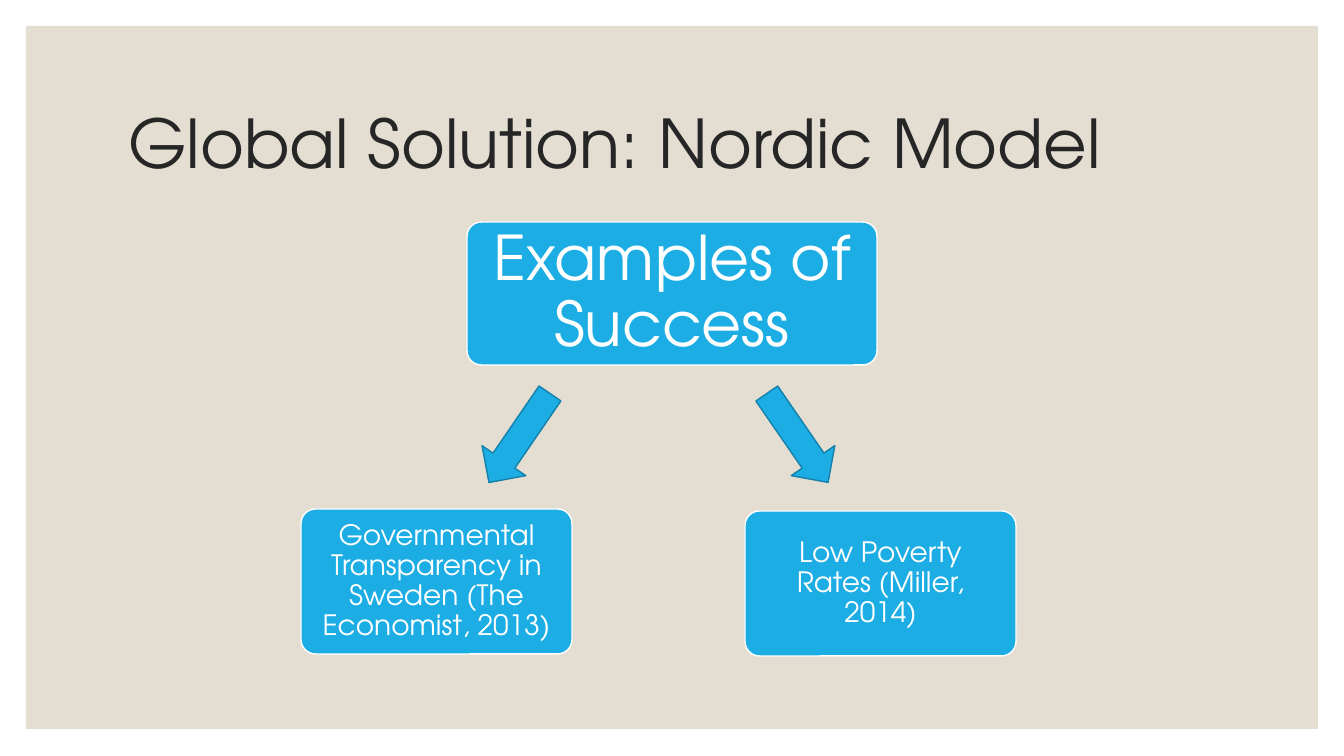
from pptx import Presentation
from pptx.dml.color import RGBColor
from pptx.enum.shapes import MSO_SHAPE
from pptx.enum.text import MSO_ANCHOR, PP_ALIGN
from pptx.util import Pt

RECT, ROUND, ARROW = MSO_SHAPE.RECTANGLE, MSO_SHAPE.ROUNDED_RECTANGLE, MSO_SHAPE.DOWN_ARROW
MIDDLE = MSO_ANCHOR.MIDDLE
LEFT, CENTER = PP_ALIGN.LEFT, PP_ALIGN.CENTER
SCALE = 914400 / 100.8
FONT = "TeX Gyre Adventor"
COLORS = {"panel": "E3DED1", "ink": "262626", "blue": "1CADE4", "edge": "1580A9", "white": "FFFFFF"}


def add_block(kind, box, fill, line=None):
    block = slide.shapes.add_shape(kind, *[round(n * SCALE) for n in box])
    block.shadow.inherit = False
    block.fill.solid()
    block.fill.fore_color.rgb = RGBColor.from_string(COLORS[fill])
    if line:
        block.line.color.rgb = RGBColor.from_string(COLORS[line])
        block.line.width = Pt(1)
    else:
        block.line.fill.background()
    return block


def set_text(shape, text, size, color, align):
    frame = shape.text_frame
    frame.word_wrap = True
    frame.vertical_anchor = MIDDLE
    para = frame.paragraphs[0]
    para.text = text
    para.alignment = align
    para.line_spacing = 0.9
    para.font.size = Pt(size)
    para.font.name = FONT
    para.font.color.rgb = RGBColor.from_string(COLORS[color])
    return frame


deck = Presentation()
deck.slide_width, deck.slide_height = round(1344 * SCALE), round(756 * SCALE)
slide = deck.slides.add_slide(deck.slide_layouts[5])

# Panel behind the title
panel = add_block(RECT, (26, 26, 1292, 703), "panel")
title = slide.shapes.title
title.element.addprevious(panel.element)
title.left, title.top, title.width, title.height = [round(n * SCALE) for n in (118, 71, 1109, 151)]
set_text(title, "Global Solution: Nordic Model", 48, "ink", LEFT)

# Main idea and its two examples
cards = [
    ("Examples of Success", 44, (467, 222, 410, 143)),
    ("Governmental Transparency in Sweden (The Economist, 2013)", 20, (301, 509, 271, 145)),
    ("Low Poverty Rates (Miller, 2014)", 20, (745, 511, 271, 145)),
]
for text, size, box in cards:
    card = add_block(ROUND, box, "blue", "white")
    card.adjustments[0] = 0.1
    frame = set_text(card, text, size, "white", CENTER)
    frame.margin_left = frame.margin_right = round(17 * SCALE)
    frame.margin_top = frame.margin_bottom = 0

for left, turn in ((771, 325.4), (493, 34.4)):
    arrow = add_block(ARROW, (left, 384, 53, 108), "blue", "edge")
    arrow.rotation = turn

deck.save("out.pptx")
